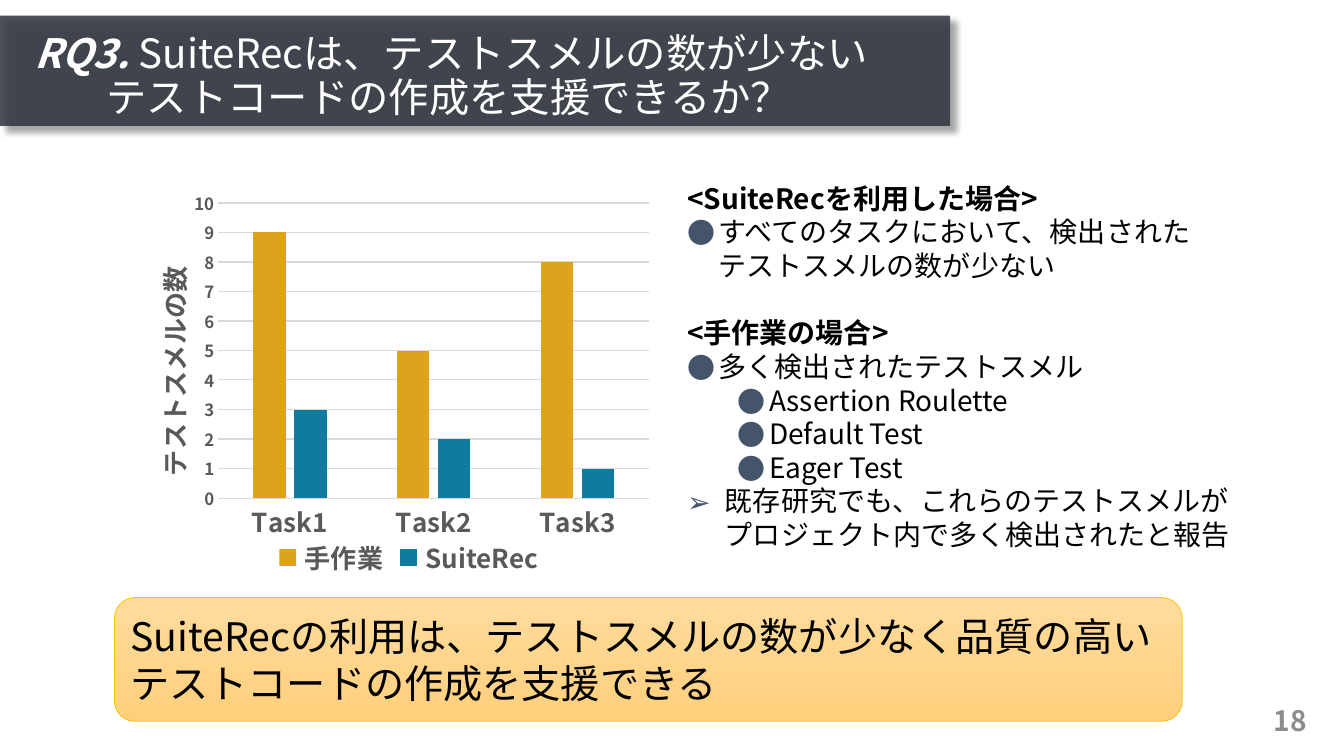
from dataclasses import dataclass, field

from lxml import etree
from pptx import Presentation
from pptx import util as u
from pptx.chart.data import CategoryChartData
from pptx.dml.color import RGBColor
from pptx.enum import chart as ch, shapes, text
from pptx.oxml import parse_xml
from pptx.oxml.ns import nsdecls, qn

PX = 9525
FACE = "Noto Sans CJK JP"
HUES = {"white": "FFFFFF", "black": "000000", "slate": "30353F", "gray": "595959",
        "pale": "8C8C8C", "grid": "D9D9D9", "gold": "DEA221", "teal": "0F7B9E",
        "dot": "44546A", "edge": "FFC000", "top": "FFDB9E", "low": "FFD07C"}


@dataclass
class Box:
    x: int
    y: int
    w: int
    h: int

    def emu(self) -> list[int]:
        return [n * PX for n in (self.x, self.y, self.w, self.h)]


@dataclass
class Para:
    words: str
    size: float = 20
    hue: str = "black"
    lead: str = ""
    mark: str = ""
    left: int = 0
    hang: int = 0
    form: dict = field(default_factory=dict)
    bold: bool = False


@dataclass
class Key:
    name: str
    hue: str
    x: int
    w: int
    vals: tuple


def rgb(hue: str) -> RGBColor:
    return RGBColor.from_string(HUES[hue])


def style(font, size: float, hue: str, **form) -> None:
    for key, val in {"name": FACE, "size": u.Pt(size), **form}.items():
        setattr(font, key, val)
    font.color.rgb = rgb(hue)


def write(frame, paras: list[Para], **form) -> None:
    for key, val in {"word_wrap": True, **form}.items():
        setattr(frame, key, val)
    for i, item in enumerate(paras):
        par = frame.paragraphs[0] if i == 0 else frame.add_paragraph()
        props = par._p.get_or_add_pPr()
        if item.hang:
            props.set("marL", str(item.left * PX))
            props.set("indent", str(-item.hang * PX))
        if item.mark:
            tint = etree.SubElement(props, qn("a:buClr"))
            etree.SubElement(tint, qn("a:srgbClr"), val=HUES["dot"])
            etree.SubElement(props, qn("a:buFont"), typeface=FACE)
            etree.SubElement(props, qn("a:buChar"), char=item.mark)
        for key, val in {"alignment": text.PP_ALIGN.LEFT, **item.form}.items():
            setattr(par, key, val)
        if item.lead:
            run = par.add_run()
            run.text = item.lead
            style(run.font, item.size, item.hue, bold=True, italic=True)
        for j, line in enumerate(item.words.split("\n")):
            if j:
                par.add_line_break()
            run = par.add_run()
            run.text = line
            style(run.font, item.size, item.hue, bold=item.bold)
        for node in par._p.iter(qn("a:latin")):
            node.addnext(node.makeelement(qn("a:ea"), {"typeface": FACE}))


def label(slide, box: Box, paras: list[Para], **form) -> None:
    write(slide.shapes.add_textbox(*box.emu()).text_frame, paras, **form)


def block(slide, kind, box: Box, hue: str):
    shape = slide.shapes.add_shape(kind, *box.emu())
    shape.shadow.inherit = False
    shape.fill.solid()
    shape.fill.fore_color.rgb = rgb(hue)
    shape.line.fill.background()
    return shape


def place(node, spots: dict) -> None:
    """Give a chart part a fixed layout."""
    old = node.find(qn("c:layout"))
    if old is not None:
        node.remove(old)
    tags = "".join(f'<c:{k} val="{v}"/>' for k, v in spots.items())
    new = parse_xml(f'<c:layout {nsdecls("c")}><c:manualLayout>{tags}'
                    '</c:manualLayout></c:layout>')
    node.insert(1 if node.find(qn("c:tx")) is not None else 0, new)


def graph(slide, box: Box, keys: list[Key]) -> None:
    data = CategoryChartData()
    data.categories = ["Task1", "Task2", "Task3"]
    for key in keys:
        data.add_series(key.name, key.vals)
    chart = slide.shapes.add_chart(ch.XL_CHART_TYPE.COLUMN_CLUSTERED, *box.emu(), data).chart
    chart.has_legend = chart.has_title = False
    style(chart.font, 10, "black")
    plot = chart.plots[0]
    for name, val in {"gap_width": 219, "overlap": -27, "vary_by_categories": False}.items():
        setattr(plot, name, val)
    for bars, key in zip(plot.series, keys):
        bars.format.fill.solid()
        bars.format.fill.fore_color.rgb = rgb(key.hue)
    cat, val = chart.category_axis, chart.value_axis
    for axis, size in ((cat, 18.6), (val, 12)):
        axis.major_tick_mark = axis.minor_tick_mark = ch.XL_TICK_MARK.NONE
        style(axis.tick_labels.font, size, "gray", bold=True)
    for name, num in {"minimum_scale": 0, "maximum_scale": 10, "major_unit": 1}.items():
        setattr(val, name, num)
    val.format.line.fill.background()
    for line in (cat.format.line, val.major_gridlines.format.line):
        line.color.rgb = rgb("grid")
        line.width = u.Pt(0.75)
    title = val.axis_title
    write(title.text_frame, [Para("テストスメルの数", 18.6, "gray", bold=True)])
    title.text_frame._txBody.bodyPr.set("rot", "-5400000")
    title.text_frame._txBody.bodyPr.set("vert", "horz")
    place(title._element, {"xMode": "edge", "yMode": "edge", "x": 0.06, "y": 0.21})
    place(chart._chartSpace.chart.plotArea,
          {"layoutTarget": "inner", "xMode": "edge", "yMode": "edge",
           "x": 0.19, "y": 0.05, "w": 0.79, "h": 0.81})


def main() -> None:
    deck = Presentation()
    deck.slide_width, deck.slide_height = 1280 * PX, 720 * PX
    slide = deck.slides.add_slide(deck.slide_layouts[6])
    mid = {"vertical_anchor": text.MSO_ANCHOR.MIDDLE}
    rect = shapes.MSO_SHAPE.RECTANGLE

    # Page number
    label(slide, Box(966, 667, 288, 38),
          [Para("18", hue="pale", bold=True, form={"alignment": text.PP_ALIGN.RIGHT})], **mid)

    # Title banner
    band = block(slide, rect, Box(0, 15, 905, 105), "slate")
    tint = band.fill._xPr.find(".//" + qn("a:srgbClr"))
    etree.SubElement(tint, qn("a:alpha"), val="86000")
    glow = band._element.spPr.find(qn("a:effectLst"))
    glow.append(parse_xml(
        f'<a:outerShdw {nsdecls("a")} blurRad="50800" dist="76200" dir="2700000">'
        f'<a:srgbClr val="{HUES["black"]}"><a:alpha val="40000"/></a:srgbClr></a:outerShdw>'))
    label(slide, Box(23, 35, 888, 77),
          [Para("SuiteRecは、テストスメルの数が少ない\nテストコードの作成を支援できるか？", 28.8, "white",
                lead="RQ3. ", left=69, hang=69, form={"line_spacing": 0.9})], **mid)

    # Chart and its key
    keys = [Key("手作業", "gold", 266, 117, (9, 5, 8)),
            Key("SuiteRec", "teal", 381, 136, (3, 2, 1))]
    graph(slide, Box(109, 176, 520, 347), keys)
    for key in keys:
        block(slide, rect, Box(key.x, 523, 16, 16), key.hue)
        label(slide, Box(key.x + 15, 512, key.w, 39),
              [Para(key.name, 18.6, "gray", bold=True)])

    # Findings
    dot = {"mark": "●", "left": 30, "hang": 30}
    sub = {**dot, "left": 78, "form": {"level": 1}}
    smells = ["Assertion Roulette", "Default Test", "Eager Test"]
    label(slide, Box(645, 168, 540, 365), [
        Para("<SuiteRecを利用した場合>", bold=True),
        Para("すべてのタスクにおいて、検出された\nテストスメルの数が少ない", **dot),
        Para("<手作業の場合>", bold=True, form={"space_before": u.Pt(24)}),
        Para("多く検出されたテストスメル", **dot),
        *(Para(name, **sub) for name in smells),
        Para("既存研究でも、これらのテストスメルが\nプロジェクト内で多く検出されたと報告",
             mark="➢", left=36, hang=36)])

    # Conclusion
    card = block(slide, shapes.MSO_SHAPE.ROUNDED_RECTANGLE, Box(109, 569, 1017, 118), "top")
    card.fill.gradient()
    card.fill.gradient_angle = 270
    for stop, hue in zip(card.fill.gradient_stops, ("top", "low")):
        stop.color.rgb = rgb(hue)
    card.line.color.rgb = rgb("edge")
    card.line.width = u.Pt(0.5)
    write(card.text_frame, [Para(
        "SuiteRecの利用は、テストスメルの数が少なく品質の高いテストコードの作成を支援できる", 28)], **mid)

    deck.save("out.pptx")


if __name__ == "__main__":
    main()
